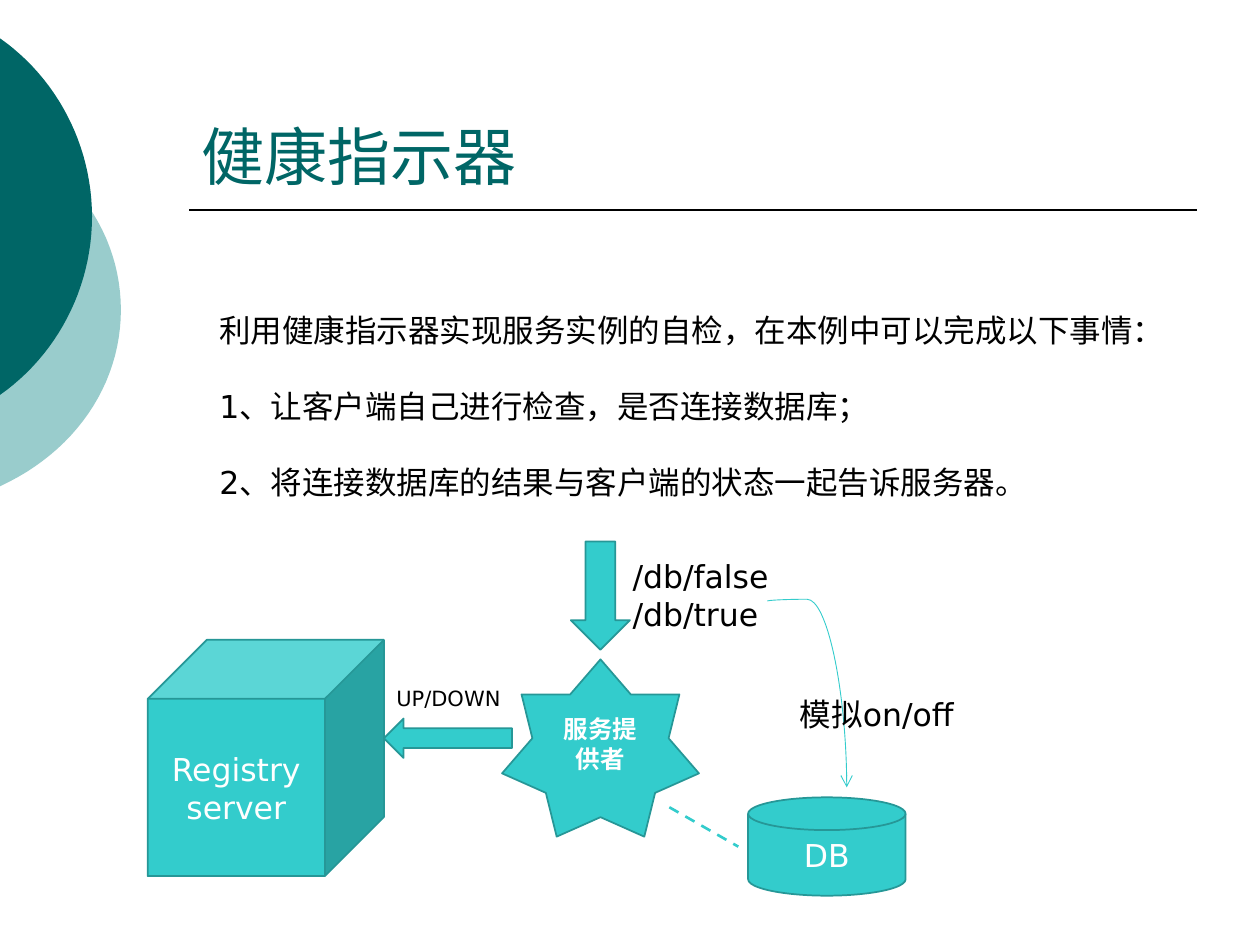
"""Build the health indicator slide with its service diagram."""
from dataclasses import dataclass

from lxml import etree
from pptx import Presentation
from pptx import util as u
from pptx.dml.color import RGBColor
from pptx.enum import dml, shapes, text
from pptx.oxml.ns import qn

Pt = u.Pt
DARK_TEAL = RGBColor(0x00, 0x66, 0x66)
PALE_TEAL = RGBColor(0x99, 0xCC, 0xCC)
AQUA = RGBColor(0x33, 0xCC, 0xCC)
AQUA_EDGE = RGBColor(0x26, 0x97, 0x97)
BLACK = RGBColor(0, 0, 0)
WHITE = RGBColor(255, 255, 255)
SANS = "DejaVu Sans"
STEPS = 24


@dataclass(frozen=True)
class Box:
    left: float
    top: float
    width: float
    height: float

    def lengths(self) -> tuple:
        return Pt(self.left), Pt(self.top), Pt(self.width), Pt(self.height)


@dataclass(frozen=True)
class Node:
    kind: shapes.MSO_SHAPE
    box: Box
    lines: tuple = ()
    size: float = 18
    bold: bool = False


@dataclass(frozen=True)
class Label:
    box: Box
    lines: tuple
    size: float = 18
    wrap: bool = False


@dataclass(frozen=True)
class Disc:
    curve: tuple
    color: RGBColor


DISCS = (
    Disc(((0, 76.3), (42.5, 95.8), (69.1, 133.9), (69.1, 177.1)), PALE_TEAL),
    Disc(((0, 21.9), (32.4, 44.6), (52.6, 82.8), (52.6, 123.8)), DARK_TEAL),
)
NODES = (
    Node(shapes.MSO_SHAPE.STAR_7_POINT, Box(286.9, 376.8, 112.5, 101.3),
         ("服务提供者",), 14, True),
    Node(shapes.MSO_SHAPE.FLOWCHART_MAGNETIC_DISK, Box(427.5, 455.6, 90, 56.2), ("DB",)),
    Node(shapes.MSO_SHAPE.DOWN_ARROW, Box(326.2, 309.4, 33.8, 61.9)),
    Node(shapes.MSO_SHAPE.CUBE, Box(84.4, 365.6, 135, 135), ("Registry", "server")),
    Node(shapes.MSO_SHAPE.LEFT_ARROW, Box(219.4, 410.6, 73.2, 22.5)),
)
LABELS = (
    Label(Box(354.4, 315, 96.5, 51), ("/db/false", "/db/true")),
    Label(Box(219.4, 388.1, 76.3, 21.8), ("UP/DOWN",), 12),
    Label(Box(450, 393.8, 105, 29), ("模拟on/off",), wrap=True),
)
BODY = (
    "利用健康指示器实现服务实例的自检，在本例中可以完成以下事情：",
    "1、让客户端自己进行检查，是否连接数据库；",
    "2、将连接数据库的结果与客户端的状态一起告诉服务器。",
)


def write(tf, lines: tuple, size: float, color: RGBColor, align=text.PP_ALIGN.LEFT,
          font: str = SANS, bold: bool = False) -> None:
    for i, line in enumerate(lines):
        p = tf.paragraphs[0] if i == 0 else tf.add_paragraph()
        p.alignment = align
        r = p.add_run()
        r.text = line
        r.font.size, r.font.name, r.font.bold = Pt(size), font, bold
        r.font.color.rgb = color


def bezier(curve: tuple, t: float) -> tuple:
    weights = ((1 - t) ** 3, 3 * t * (1 - t) ** 2, 3 * t * t * (1 - t), t ** 3)
    return tuple(sum(w * pt[axis] for w, pt in zip(weights, curve)) for axis in (0, 1))


def draw_disc(s, disc: Disc) -> None:
    upper = [bezier(disc.curve, i / STEPS) for i in range(STEPS + 1)]
    middle = disc.curve[-1][1]
    lower = [(x, 2 * middle - y) for x, y in reversed(upper[:-1])]
    points = [(Pt(x), Pt(y)) for x, y in upper + lower]
    builder = s.shapes.build_freeform(*points[0])
    builder.add_line_segments(points[1:], close=True)
    sp = builder.convert_to_shape()
    sp.shadow.inherit = False
    sp.fill.solid()
    sp.fill.fore_color.rgb = disc.color
    sp.line.fill.background()


def draw_node(s, node: Node) -> None:
    sp = s.shapes.add_shape(node.kind, *node.box.lengths())
    sp.shadow.inherit = False
    sp.fill.solid()
    sp.fill.fore_color.rgb = AQUA
    sp.line.color.rgb = AQUA_EDGE
    sp.line.width = Pt(1)
    tf = sp.text_frame
    tf.word_wrap = True
    tf.vertical_anchor = text.MSO_ANCHOR.MIDDLE
    write(tf, node.lines, node.size, WHITE, text.PP_ALIGN.CENTER, bold=node.bold)


def draw_label(s, label: Label) -> None:
    tf = s.shapes.add_textbox(*label.box.lengths()).text_frame
    tf.word_wrap = label.wrap
    write(tf, label.lines, label.size, BLACK)


def draw_line(s, kind, start: tuple, end: tuple, color: RGBColor, width: float):
    sp = s.shapes.add_connector(kind, *(Pt(v) for v in start + end))
    sp.line.color.rgb = color
    sp.line.width = Pt(width)
    etree.SubElement(sp._element.spPr, qn("a:effectLst"))
    return sp


def draw_curved_arrow(s) -> None:
    sp = draw_line(s, shapes.MSO_CONNECTOR.CURVE, (514.4, 374), (408, 419.4), AQUA, 0.5)
    spPr = sp._element.spPr
    spPr.find(qn("a:xfrm")).set("rot", "16200000")
    guides = spPr.find(qn("a:prstGeom")).get_or_add_avLst()
    etree.SubElement(guides, qn("a:gd"), name="adj1", fmla="val -1000")
    etree.SubElement(spPr.find(qn("a:ln")), qn("a:tailEnd"), type="arrow")


def place(sp, box: Box) -> None:
    sp.left, sp.top, sp.width, sp.height = box.lengths()
    sp.text_frame.word_wrap = True
    sp.text_frame.auto_size = text.MSO_AUTO_SIZE.NONE


def fill_title(s) -> None:
    sp = s.shapes.title
    place(sp, Box(108, 24, 576, 90))
    sp.text_frame.vertical_anchor = text.MSO_ANCHOR.BOTTOM
    write(sp.text_frame, ("健康指示器",), 36, DARK_TEAL, font="Arial")


def fill_body(s) -> None:
    sp = s.placeholders[1]
    place(sp, Box(118.1, 174.4, 560, 116.6))
    write(sp.text_frame, BODY, 18, BLACK)
    for i, p in enumerate(sp.text_frame.paragraphs):
        p.space_before = Pt(21.7 if i else 0)
        pPr = p._p.get_or_add_pPr()
        pPr.set("marL", "0")
        pPr.set("indent", "0")
        etree.SubElement(pPr, qn("a:buNone"))


def main() -> None:
    prs = Presentation()
    prs.slide_width, prs.slide_height = Pt(720), Pt(540)
    s = prs.slides.add_slide(prs.slide_layouts[1])
    for disc in DISCS:
        draw_disc(s, disc)
    straight = shapes.MSO_CONNECTOR.STRAIGHT
    draw_line(s, straight, (108, 120), (684, 120), BLACK, 1)
    fill_title(s)
    fill_body(s)
    for node in NODES:
        draw_node(s, node)
    link = draw_line(s, straight, (382.5, 461.3), (421.9, 483.8), AQUA, 1.5)
    link.line.dash_style = dml.MSO_LINE.DASH
    draw_curved_arrow(s)
    for label in LABELS:
        draw_label(s, label)
    prs.save("out.pptx")


if __name__ == "__main__":
    main()
